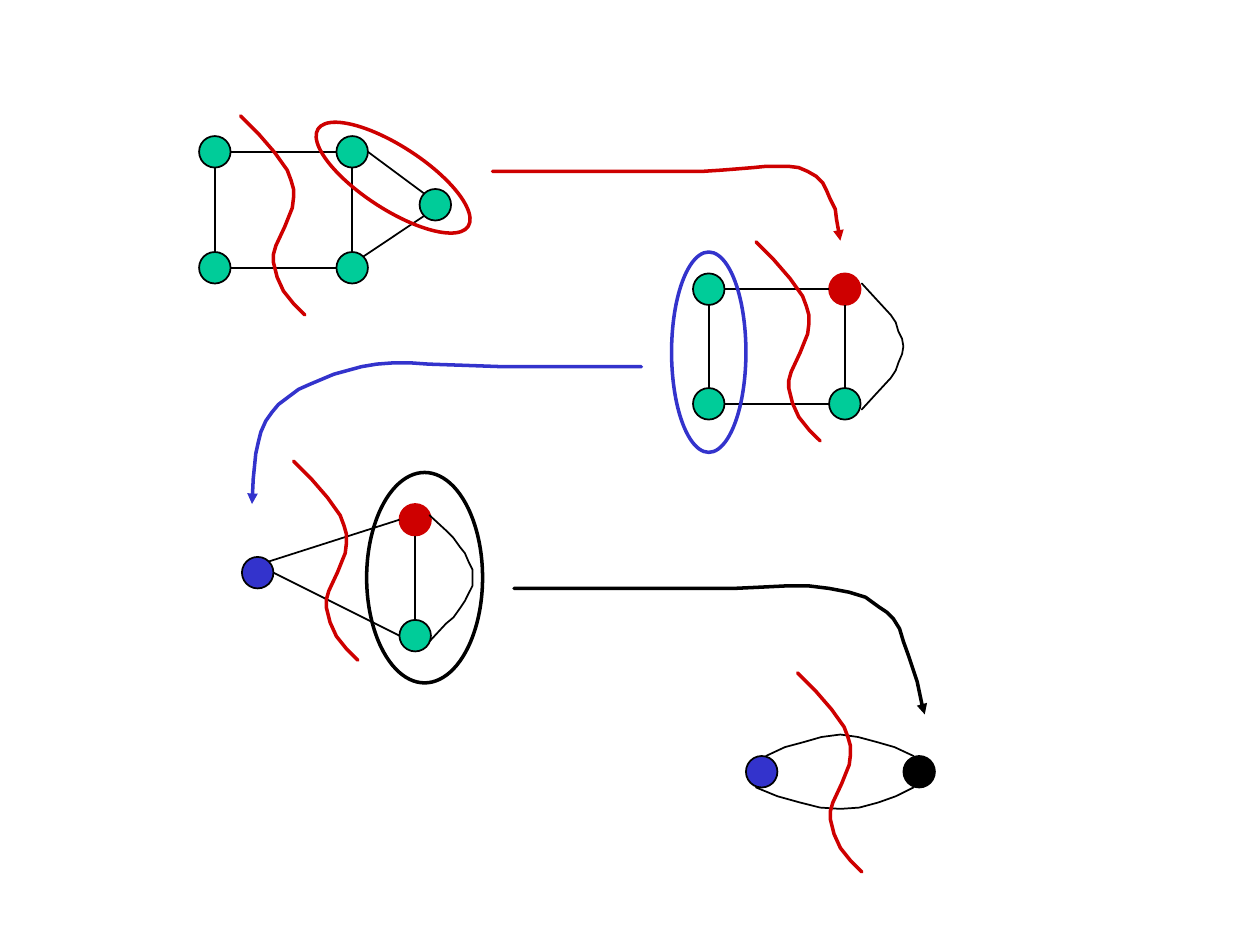
from dataclasses import dataclass
from math import cos, radians, sin

from lxml.etree import SubElement
from pptx import Presentation
from pptx.dml.color import RGBColor as RGB
from pptx.enum.shapes import MSO_CONNECTOR as LINK, MSO_SHAPE as PRESET
from pptx.oxml.ns import qn
from pptx.util import Pt

PX = 9144  # 100 px to the inch
NODE = 25


@dataclass(frozen=True)
class Theme:
    green: RGB = RGB(0x00, 0xCC, 0x99)
    red: RGB = RGB(0xCE, 0x00, 0x00)
    blue: RGB = RGB(0x33, 0x33, 0xCC)
    black: RGB = RGB(0x00, 0x00, 0x00)
    thin: int = 1
    thick: int = 2


theme = Theme()


def style(shape, color, weight, fill=None):
    shape.shadow.inherit = False
    shape.line.color.rgb = color
    shape.line.width = Pt(weight)
    if fill is None:
        shape.fill.background()
    else:
        shape.fill.solid()
        shape.fill.fore_color.rgb = fill


def draw_path(parent, points, color, weight, arrow=False):
    """Draw an open line through the points, with an optional head at its end."""
    builder = parent.build_freeform(*points[0], scale=PX)
    builder.add_line_segments(points[1:], close=False)
    curve = builder.convert_to_shape()
    style(curve, color, weight)
    outline = curve.element.spPr.find(qn("a:ln"))
    outline.set("cap", "rnd")
    if arrow:
        SubElement(outline, qn("a:tailEnd"), type="triangle")


prs = Presentation()
prs.slide_width, prs.slide_height = 1000 * PX, 750 * PX
slide = prs.slides.add_slide(prs.slide_layouts[6])

# nodes: left, top, fill
# edges: node, site, node, site; sites run counterclockwise from the top in 45° steps
graphs = [
    dict(
        grouped=True,
        nodes=[(158, 108, theme.green), (158, 200, theme.green), (267, 200, theme.green),
               (267, 108, theme.green), (333, 150, theme.green)],
        edges=[(1, 6, 2, 2), (1, 0, 0, 4), (3, 2, 0, 6), (3, 6, 4, 1), (4, 3, 2, 7), (3, 4, 2, 0)],
        arcs=[],
        ring=(241, 116, 142, 50, 33, theme.red),
        cut=(191, 92),
    ),
    dict(
        grouped=False,
        nodes=[(550, 217, theme.green), (550, 308, theme.green), (658, 308, theme.green),
               (658, 217, theme.red)],
        edges=[(1, 6, 2, 2), (1, 0, 0, 4), (3, 2, 0, 6), (3, 4, 2, 0)],
        arcs=[[(684, 325), (695, 313), (707, 300), (711, 294), (713, 288), (716, 281), (717, 275),
               (716, 269), (713, 263), (711, 256), (707, 250), (695, 237), (684, 225)]],
        ring=(533, 200, 59, 159, 0, theme.blue),
        cut=(600, 192),
    ),
    dict(
        grouped=False,
        nodes=[(192, 442, theme.blue), (317, 492, theme.green), (317, 400, theme.red)],
        edges=[(0, 6, 1, 2), (2, 4, 1, 0), (2, 2, 0, 7)],
        arcs=[[(341, 509), (354, 495), (360, 490), (365, 483), (369, 477), (372, 471), (375, 465),
               (375, 452), (372, 446), (369, 439), (365, 434), (360, 427), (354, 421), (341, 409)]],
        ring=(291, 375, 92, 167, 0, theme.black),
        cut=(233, 366),
    ),
    dict(
        grouped=True,
        nodes=[(592, 600, theme.blue), (717, 600, theme.black)],
        edges=[],
        arcs=[[(608, 600), (623, 593), (638, 589), (652, 585), (667, 583),
               (681, 585), (696, 589), (710, 593), (725, 600)],
              [(600, 625), (617, 632), (635, 637), (651, 641), (667, 642),
               (682, 641), (697, 637), (711, 632), (725, 625)]],
        ring=None,
        cut=(633, 534),
    ),
]

for graph in graphs:
    parent = slide.shapes.add_group_shape().shapes if graph["grouped"] else slide.shapes
    nodes = []
    for left, top, fill in graph["nodes"]:
        node = parent.add_shape(PRESET.OVAL, left * PX, top * PX, NODE * PX, NODE * PX)
        style(node, theme.red if fill == theme.red else theme.black, theme.thin, fill)
        nodes.append(node)

    for start, start_site, end, end_site in graph["edges"]:
        ends = []
        for index, site in ((start, start_site), (end, end_site)):
            left, top, _ = graph["nodes"][index]
            angle = radians(90 + 45 * site)
            ends += [round((left + NODE / 2 * (1 + cos(angle))) * PX),
                     round((top + NODE / 2 * (1 - sin(angle))) * PX)]
        edge = parent.add_connector(LINK.STRAIGHT, *ends)
        edge.line.color.rgb = theme.black
        edge.line.width = Pt(theme.thin)
        SubElement(edge.element.spPr, qn("a:effectLst"))
        glue = edge.element.find(".//" + qn("p:cNvCxnSpPr"))
        for tag, index, site in (("a:stCxn", start, start_site), ("a:endCxn", end, end_site)):
            SubElement(glue, qn(tag), id=str(nodes[index].shape_id), idx=str(site))

    for arc in graph["arcs"]:
        draw_path(parent, arc, theme.black, theme.thin)

    if graph["ring"]:
        *box, rotation, color = graph["ring"]
        ring = slide.shapes.add_shape(PRESET.OVAL, *(length * PX for length in box))
        ring.rotation = rotation
        style(ring, color, theme.thick)

contractions = [
    (theme.red, [(391, 136), (558, 136), (573, 135), (586, 134), (598, 133), (608, 132), (626, 132),
                 (634, 133), (641, 136), (648, 140), (653, 145), (656, 151), (659, 158), (663, 166),
                 (664, 174), (667, 191)]),
    (theme.blue, [(509, 291), (398, 291), (369, 290), (340, 289), (326, 288), (312, 288), (299, 289),
                  (287, 291), (265, 297), (246, 305), (237, 309), (229, 315), (221, 321), (216, 327),
                  (211, 334), (207, 343), (205, 351), (203, 360), (201, 380), (200, 400)]),
    (theme.black, [(408, 467), (583, 467), (604, 466), (624, 465), (642, 465), (658, 467), (674, 470),
                   (687, 474), (698, 482), (704, 486), (709, 491), (714, 499), (717, 509), (721, 520),
                   (728, 541), (732, 560), (734, 567)]),
]
for color, points in contractions:
    draw_path(slide.shapes, points, color, theme.thick, arrow=True)

cut_offsets = [(0, 0), (14, 14), (27, 29), (37, 43), (40, 51), (42, 58), (42, 65), (41, 73), (35, 88),
               (28, 103), (26, 110), (26, 116), (29, 128), (34, 139), (42, 149), (51, 158)]
for graph in graphs:
    left, top = graph["cut"]
    cut = [(left + dx, top + dy) for dx, dy in cut_offsets]
    draw_path(slide.shapes, cut, theme.red, theme.thick)

prs.save("out.pptx")
